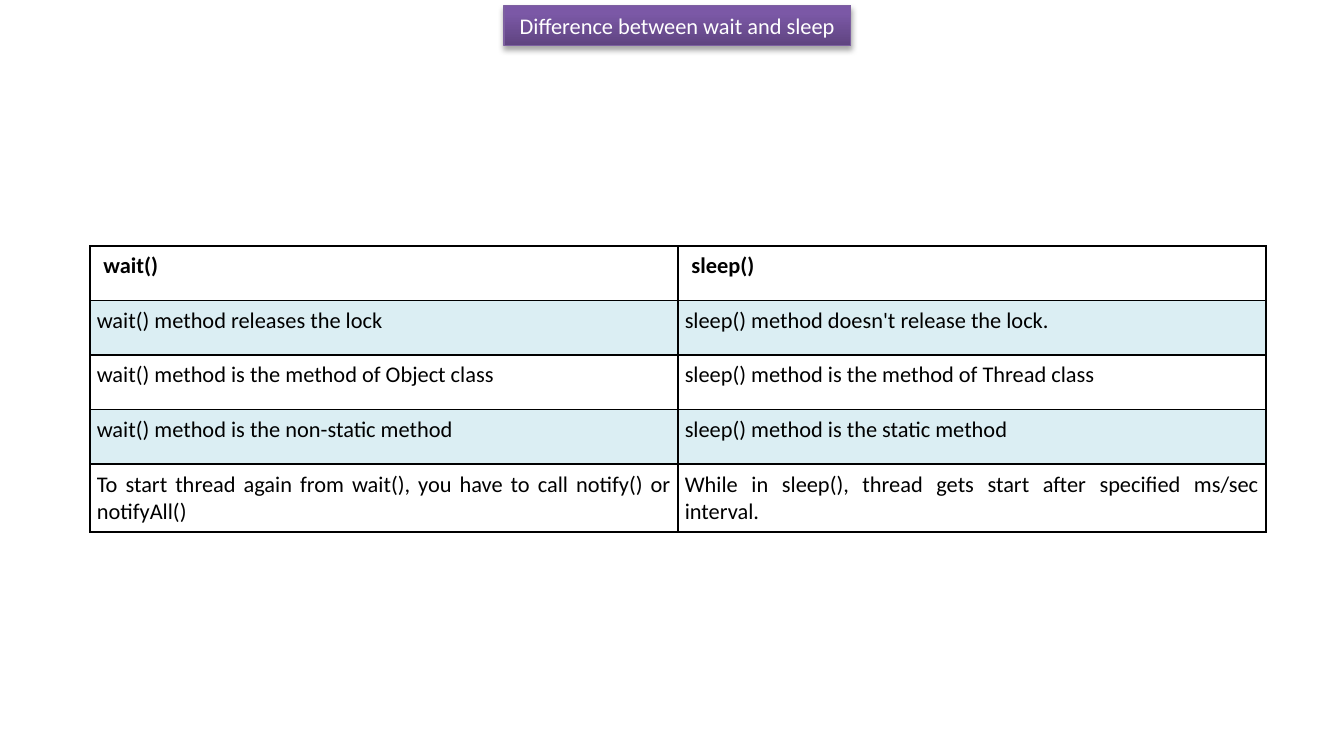
import copy
import pptx
import pptx.util
import pptx.oxml
import pptx.oxml.ns
import pptx.dml.color
import pptx.enum.shapes
import pptx.enum.text
from pptx.util import Inches

RGBColor = pptx.dml.color.RGBColor
BLACK = RGBColor(0x00, 0x00, 0x00)
WHITE = RGBColor(0xFF, 0xFF, 0xFF)
TEAL = RGBColor(0x4B, 0xAC, 0xC6)
EDGE = RGBColor(0x7D, 0x60, 0xA0)
SHADES = [
    (0, RGBColor(0x5F, 0x44, 0x80)),
    (0.8, RGBColor(0x7B, 0x58, 0xA6)),
    (1, RGBColor(0x7C, 0x57, 0xA8)),
]
ROWS = [
    ("wait()", "sleep()"),
    ("wait() method releases the lock", "sleep() method doesn't release the lock."),
    ("wait() method is the method of Object class",
     "sleep() method is the method of Thread class"),
    ("wait() method is the non-static method", "sleep() method is the static method"),
    ("To start thread again from wait(), you have to call notify() or notifyAll()",
     "While in sleep(), thread gets start after specified ms/sec interval."),
]
NS = pptx.oxml.ns.nsdecls("a")
qn = pptx.oxml.ns.qn


def style(par, color):
    par.font.name = "Calibri"
    par.font.size = pptx.util.Pt(12)
    par.font.color.rgb = color


deck = pptx.Presentation()
deck.slide_width = Inches(10)
deck.slide_height = Inches(5.5)
slide = deck.slides.add_slide(deck.slide_layouts[6])

# Title bar
title = slide.shapes.add_shape(
    pptx.enum.shapes.MSO_SHAPE.RECTANGLE,
    Inches(3.75), Inches(0.04), Inches(2.58), Inches(0.3))
title.fill.gradient()
title.fill.gradient_angle = 90
stops = title._element.spPr.find(".//" + qn("a:gsLst"))
stops.append(copy.deepcopy(stops[0]))
for stop, (place, shade) in zip(title.fill.gradient_stops, SHADES):
    stop.position = place
    stop.color.rgb = shade
title.line.color.rgb = EDGE
title.line.width = pptx.util.Pt(0.75)
title.shadow.inherit = False
title._element.spPr.find(qn("a:effectLst")).append(pptx.oxml.parse_xml(
    f'<a:outerShdw {NS} blurRad="40000" dist="23000" dir="5400000" rotWithShape="0">'
    '<a:srgbClr val="000000"><a:alpha val="35000"/></a:srgbClr></a:outerShdw>'))
title.text_frame.text = "Difference between wait and sleep"
title.text_frame.word_wrap = False
par = title.text_frame.paragraphs[0]
par.alignment = pptx.enum.text.PP_ALIGN.CENTER
style(par, WHITE)

# Comparison table
table = slide.shapes.add_table(
    len(ROWS), 2, Inches(0.67), Inches(1.83), Inches(8.75), Inches(2.03)).table
table.first_row = False
table.horz_banding = False
for r, row in enumerate(ROWS):
    for c, text in enumerate(row):
        cell = table.cell(r, c)
        cell.text = text
        par = cell.text_frame.paragraphs[0]
        style(par, BLACK)
        par.font.bold = r == 0
        if r > 0:
            par.alignment = pptx.enum.text.PP_ALIGN.JUSTIFY
            cell.margin_left = cell.margin_right = Inches(0.05)
            cell.margin_top = cell.margin_bottom = Inches(0.05)
        props = cell._tc.get_or_add_tcPr()
        for side in "LRTB":
            props.append(pptx.oxml.parse_xml(
                f'<a:ln{side} {NS} w="12700"><a:solidFill>'
                f'<a:srgbClr val="{BLACK}"/></a:solidFill></a:ln{side}>'))
        if r % 2:
            cell.fill.solid()
            cell.fill.fore_color.rgb = TEAL
            tint = props.find(qn("a:solidFill"))[0]
            tint.append(pptx.oxml.parse_xml(f'<a:alpha {NS} val="20000"/>'))
        else:
            cell.fill.background()

deck.save("out.pptx")
